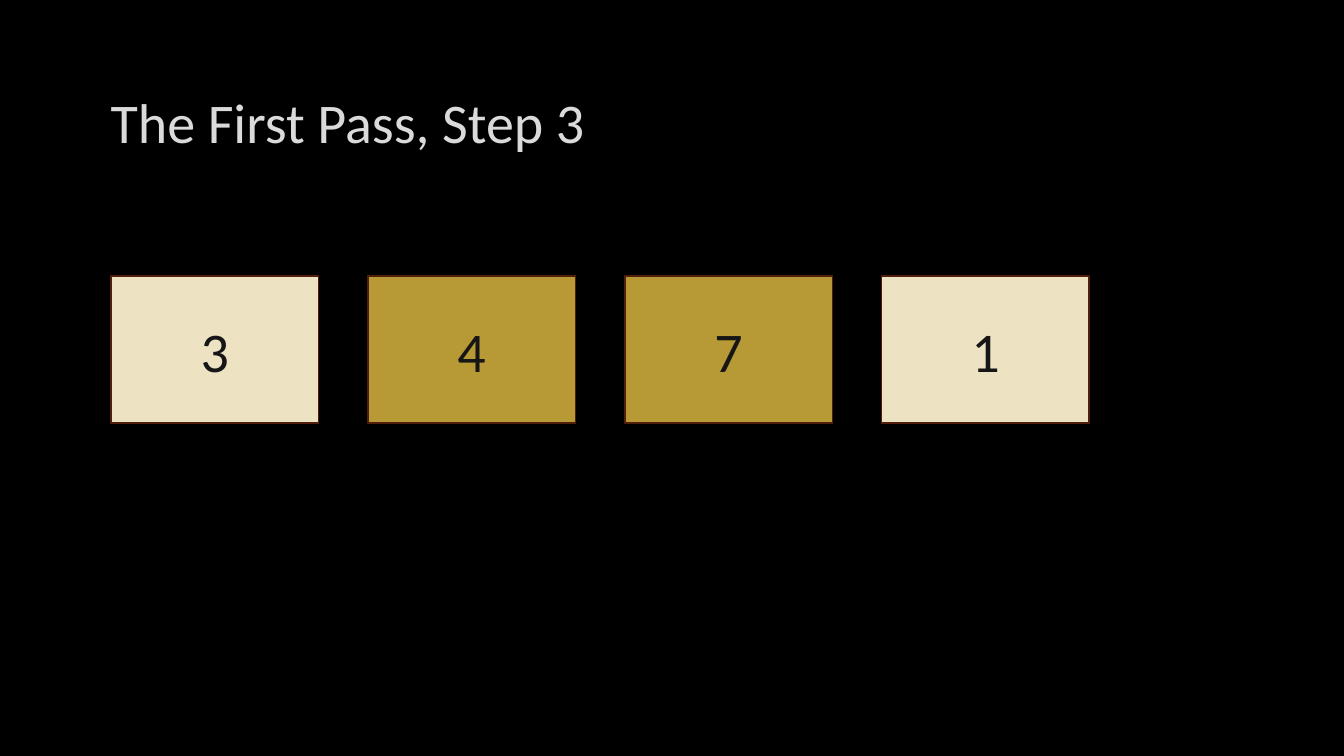
import pptx
import pptx.util
import pptx.dml.color
import pptx.enum.shapes
import pptx.enum.text
from dataclasses import dataclass

Pt = pptx.util.Pt
Align = pptx.enum.text.PP_ALIGN

TITLE = "The First Pass, Step 3"
VALUES = [3, 4, 7, 1]
COMPARED = {1, 2}  # positions of the pair being compared


@dataclass(frozen=True)
class Theme:
    font: str = "Calibri"
    size: float = 40
    background: str = "000000"
    title: str = "DADADA"
    number: str = "161616"
    plain: str = "EDE3C3"
    highlight: str = "B79935"
    border: str = "521E0C"
    border_width: float = 1.25


THEME = Theme()

# Left, top, width, height in points
TITLE_AREA = (72, 48.24, 815, 76.32)
FIRST_CELL = (79.2, 197.4, 148.4, 105)
CELL_PITCH = 183.5


def rgb(code):
    return pptx.dml.color.RGBColor.from_string(code)


def write(shape, text, color, align):
    """Fill a shape with one vertically centred line of text."""
    frame = shape.text_frame
    frame.word_wrap = True
    frame.vertical_anchor = pptx.enum.text.MSO_ANCHOR.MIDDLE
    para = frame.paragraphs[0]
    para.alignment = align
    span = para.add_run()
    span.text = text
    span.font.name = THEME.font
    span.font.size = Pt(THEME.size)
    span.font.color.rgb = rgb(color)


def add_cell(page, index, value):
    left, top, width, height = FIRST_CELL
    cell = page.shapes.add_shape(
        pptx.enum.shapes.MSO_SHAPE.RECTANGLE,
        Pt(left + index * CELL_PITCH), Pt(top), Pt(width), Pt(height))
    cell.shadow.inherit = False
    cell.fill.solid()
    cell.fill.fore_color.rgb = rgb(
        THEME.highlight if index in COMPARED else THEME.plain)
    cell.line.color.rgb = rgb(THEME.border)
    cell.line.width = Pt(THEME.border_width)
    write(cell, str(value), THEME.number, Align.CENTER)


def main():
    deck = pptx.Presentation()
    deck.slide_width, deck.slide_height = Pt(960), Pt(540)
    page = deck.slides.add_slide(deck.slide_layouts[6])
    page.background.fill.solid()
    page.background.fill.fore_color.rgb = rgb(THEME.background)

    title = page.shapes.add_textbox(*map(Pt, TITLE_AREA))
    write(title, TITLE, THEME.title, Align.LEFT)
    for index, value in enumerate(VALUES):
        add_cell(page, index, value)
    deck.save("out.pptx")


if __name__ == "__main__":
    main()
